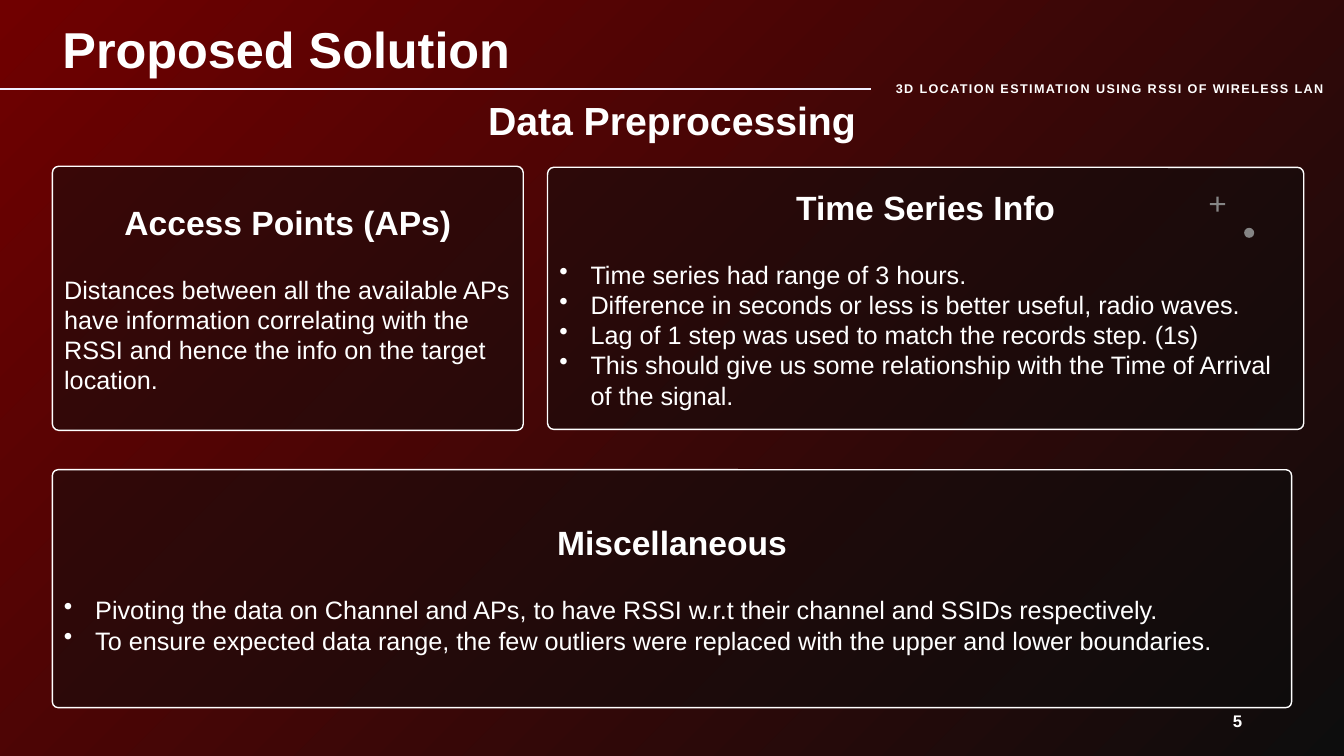
import pptx
import pptx.util
import pptx.dml.color
import pptx.enum.shapes
import pptx.enum.text
import lxml.etree
import pptx.oxml.ns

HUES = {"red": "700000", "dark": "0D0D0D", "white": "FFFFFF", "rule": "F2F0FF"}
KIND = pptx.enum.shapes.MSO_SHAPE
ALIGN = pptx.enum.text.PP_ALIGN
ANCHOR = pptx.enum.text.MSO_ANCHOR
WIDE, HIGH = pptx.util.Inches(13.33), pptx.util.Inches(7.5)

CARDS = [
    ((3.9, 22, 35.03, 34.93), "Access Points (APs)", False, [
        "Distances between all the available APs have information correlating "
        "with the RSSI and hence the info on the target location."]),
    ((40.74, 22.13, 56.26, 34.67), "Time Series Info", True, [
        "Time series had range of 3 hours.",
        "Difference in seconds or less is better useful, radio waves.",
        "Lag of 1 step was used to match the records step. (1s)",
        "This should give us some relationship with the Time of Arrival of the signal."]),
    ((3.9, 62.13, 92.2, 31.47), "Miscellaneous", True, [
        "Pivoting the data on Channel and APs, to have RSSI w.r.t their channel "
        "and SSIDs respectively.",
        "To ensure expected data range, the few outliers were replaced with the "
        "upper and lower boundaries."]),
]


def rgb(name):
    return pptx.dml.color.RGBColor.from_string(HUES[name])


def scale(box):
    """Turn percent of the slide's width and height into lengths."""
    return [int(side * part / 100) for side, part in zip((WIDE, HIGH) * 2, box)]


def sub(parent, tag, **attrs):
    return lxml.etree.SubElement(parent, pptx.oxml.ns.qn(tag), attrs)


def style(para, text, size, bold=True, align=ALIGN.LEFT, track=None):
    para.text = text
    para.alignment = align
    font = para.font
    font.name, font.size, font.bold = "Arial", pptx.util.Pt(size), bold
    font.color.rgb = rgb("white")
    if track:
        font._rPr.set("spc", str(track * 100))


def bullet(para):
    props = para._p.get_or_add_pPr()
    indent = pptx.util.Inches(0.31)
    props.set("marL", str(indent))
    props.set("indent", str(-indent))
    mark = sub(props, "a:buChar", char="•")
    para.font._rPr.addprevious(mark)


def label(slide, box, text, size, anchor=ANCHOR.MIDDLE, **look):
    frame = slide.shapes.add_textbox(*scale(box)).text_frame
    frame.word_wrap = True
    frame.vertical_anchor = anchor
    style(frame.paragraphs[0], text, size, **look)
    return frame.paragraphs[0]


def shape(slide, kind, box, hue):
    item = slide.shapes.add_shape(kind, *scale(box))
    item.shadow.inherit = False
    item.fill.solid()
    item.fill.fore_color.rgb = rgb(hue)
    item.line.fill.background()
    return item


def backdrop(slide):
    fill = slide.background.fill
    fill.gradient()
    fill.gradient_angle = 315
    for stop, hue in zip(fill.gradient_stops, ("red", "dark")):
        stop.color.rgb = rgb(hue)
    # Dot and plus sit beneath the cards
    shape(slide, KIND.OVAL, (92.57, 30.13, 0.75, 1.33), "white")
    plus = shape(slide, KIND.CROSS, (90.02, 26, 1.13, 2), "white")
    plus.adjustments[0] = 0.43


def header(slide):
    # Title
    title = slide.shapes.title
    title.left, title.top, title.width, title.height = scale((3.9, 0.67, 49.06, 10.53))
    frame = title.text_frame
    frame.vertical_anchor = ANCHOR.BOTTOM
    style(frame.paragraphs[0], "Proposed Solution", 36)
    frame.paragraphs[0].line_spacing = 0.9
    # Rule
    rule = slide.shapes.add_connector(
        pptx.enum.shapes.MSO_CONNECTOR.STRAIGHT, *scale((0, 11.73, 64.82, 11.73)))
    rule.line.color.rgb = rgb("rule")
    rule.line.width = pptx.util.Pt(1.5)
    sub(rule._element.spPr, "a:effectLst")
    # Topic and subtitle
    label(slide, (65.12, 7.73, 34.88, 7.87),
          "3D LOCATION ESTIMATION USING RSSI OF WIRELESS LAN", 9,
          align=ALIGN.CENTER, track=1)
    para = label(slide, (31.73, 12, 36.53, 7.73), "Data Preprocessing", 28,
                 anchor=ANCHOR.BOTTOM, align=ALIGN.CENTER)
    para.line_spacing = 0.9


def card(slide, box, head, listed, lines):
    item = shape(slide, KIND.ROUNDED_RECTANGLE, box, "dark")
    item.adjustments[0] = 0.024
    color = item._element.spPr.find(".//" + pptx.oxml.ns.qn("a:srgbClr"))
    sub(color, "a:alpha", val="50000")
    item.line.color.rgb = rgb("white")
    item.line.width = pptx.util.Pt(1)
    frame = item.text_frame
    frame.word_wrap = True
    frame.vertical_anchor = ANCHOR.MIDDLE
    top = frame.paragraphs[0]
    style(top, head, 24, align=ALIGN.CENTER)
    top.space_after = pptx.util.Pt(23)
    for line in lines:
        para = frame.add_paragraph()
        style(para, line, 18, bold=False)
        if listed:
            bullet(para)


def main():
    deck = pptx.Presentation()
    deck.slide_width, deck.slide_height = WIDE, HIGH
    slide = deck.slides.add_slide(deck.slide_layouts[5])
    backdrop(slide)
    header(slide)
    for spec in CARDS:
        card(slide, *spec)
    # Page number
    label(slide, (70.67, 92.67, 22.5, 5.33), "5", 12, align=ALIGN.RIGHT, track=1)
    deck.save("out.pptx")


if __name__ == "__main__":
    main()
